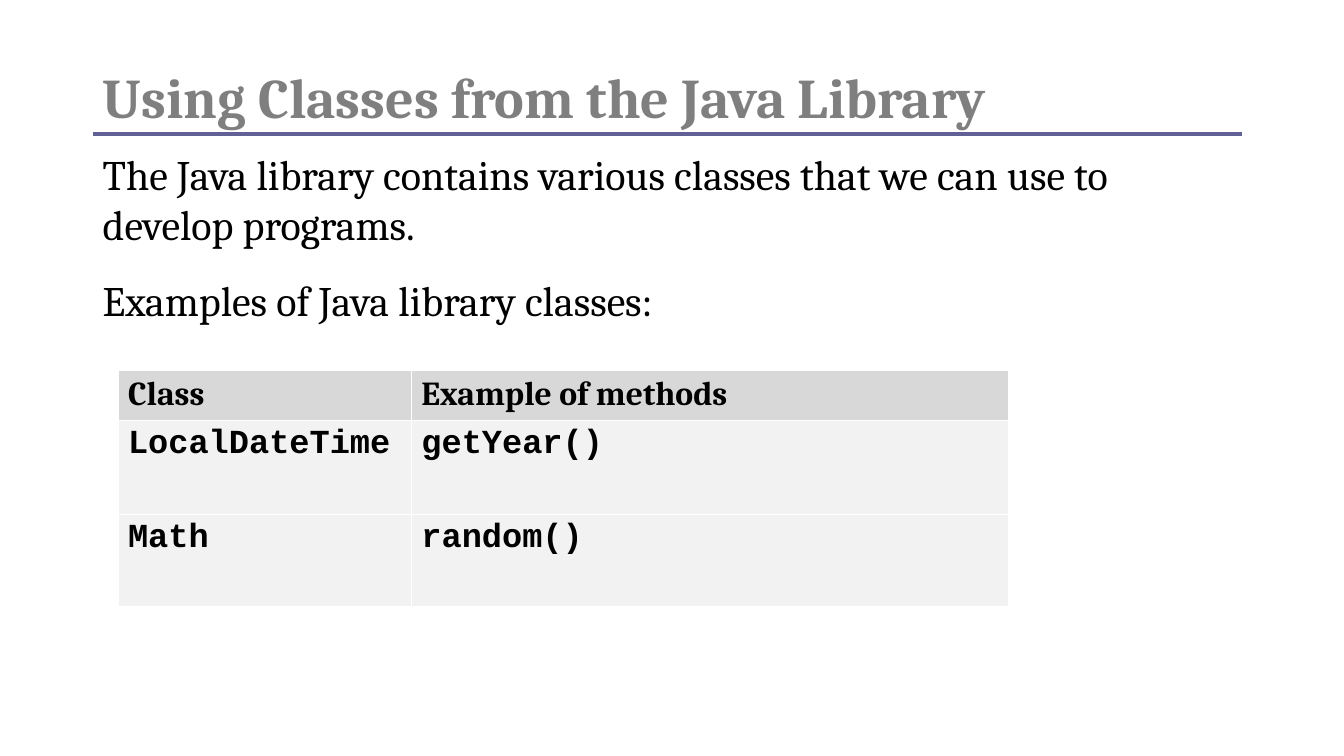
from lxml.etree import SubElement
from pptx import Presentation
from pptx.dml.color import RGBColor
from pptx.enum.shapes import MSO_CONNECTOR
from pptx.enum.text import MSO_ANCHOR, MSO_AUTO_SIZE, PP_ALIGN
from pptx.oxml.ns import qn
from pptx.util import Inches, Pt

# Content
TITLE = "Using Classes from the Java Library"
BODY = [
    "The Java library contains various classes that we can use to develop programs.",
    "Examples of Java library classes:",
]
CLASS_ROWS = [
    ("Class", "Example of methods"),
    ("LocalDateTime", "getYear()"),
    ("Math", "random()"),
]
COLUMN_WIDTHS = (2.91, 5.93)
ROW_HEIGHTS = (0.47, 0.93, 0.93)

TEXT_FONT, CODE_FONT = "Cambria", "Courier New"
BLACK = RGBColor(0x00, 0x00, 0x00)
WHITE = RGBColor(0xFF, 0xFF, 0xFF)
TITLE_GRAY = RGBColor(0x7F, 0x7F, 0x7F)
HEADER_GRAY = RGBColor(0xD8, 0xD8, 0xD8)
ROW_GRAY = RGBColor(0xF2, 0xF2, 0xF2)
RULE_PURPLE = RGBColor(0x61, 0x61, 0x96)
LEFT = 0.92
RULE_Y = 1.33


def set_font(paragraph, name, size, color, bold=False):
    font = paragraph.font
    font.name, font.size, font.bold = name, Pt(size), bold
    font.color.rgb = color


def add_border(cell, side, width):
    line = SubElement(cell._tc.get_or_add_tcPr(), qn(f"a:ln{side}"), w=str(Pt(width)))
    fill = SubElement(line, qn("a:solidFill"))
    SubElement(fill, qn("a:srgbClr"), val=str(WHITE))


presentation = Presentation()
presentation.slide_width, presentation.slide_height = Inches(13.33), Inches(7.5)
slide = presentation.slides.add_slide(presentation.slide_layouts[5])

# Title
title = slide.shapes.title
title.left, title.top = Inches(LEFT), Inches(0.33)
title.width, title.height = Inches(10.42), Inches(1)
title.text_frame.text = TITLE
title.text_frame.vertical_anchor = MSO_ANCHOR.BOTTOM
title.text_frame.auto_size = MSO_AUTO_SIZE.NONE
heading = title.text_frame.paragraphs[0]
heading.alignment = PP_ALIGN.LEFT
heading.line_spacing = 0.8
set_font(heading, TEXT_FONT, 40, TITLE_GRAY, bold=True)

# Body text
body = slide.shapes.add_textbox(Inches(LEFT), Inches(1.42), Inches(11.41), Inches(5.42))
body.text_frame.word_wrap = True
body.text_frame.text = "\n".join(BODY)
for index, paragraph in enumerate(body.text_frame.paragraphs):
    if index:
        paragraph.space_before = Pt(18)
    set_font(paragraph, TEXT_FONT, 30, BLACK)

# Table of classes
table = slide.shapes.add_table(
    len(CLASS_ROWS), len(COLUMN_WIDTHS), Inches(1.17), Inches(3.67),
    Inches(sum(COLUMN_WIDTHS)), Inches(sum(ROW_HEIGHTS)),
).table
for column, width in zip(table.columns, COLUMN_WIDTHS):
    column.width = Inches(width)
for row, height in zip(table.rows, ROW_HEIGHTS):
    row.height = Inches(height)

last_row, last_column = len(CLASS_ROWS) - 1, len(COLUMN_WIDTHS) - 1
for r, values in enumerate(CLASS_ROWS):
    for c, text in enumerate(values):
        cell = table.cell(r, c)
        cell.text = text
        outer_sides = {"L": c == 0, "R": c == last_column, "T": r == 0, "B": r == last_row}
        for side, is_outer in outer_sides.items():
            add_border(cell, side, 2.25 if is_outer else 1)
        cell.fill.solid()
        cell.fill.fore_color.rgb = ROW_GRAY if r else HEADER_GRAY
        set_font(cell.text_frame.paragraphs[0], CODE_FONT if r else TEXT_FONT, 24, BLACK, bold=True)

# Rule under the title
rule = slide.shapes.add_connector(
    MSO_CONNECTOR.STRAIGHT, Inches(LEFT), Inches(RULE_Y), Inches(12.32), Inches(RULE_Y)
)
rule.line.color.rgb = RULE_PURPLE
rule.line.width = Pt(2.5)
SubElement(rule._element.spPr, qn("a:effectLst"))

presentation.save("out.pptx")
